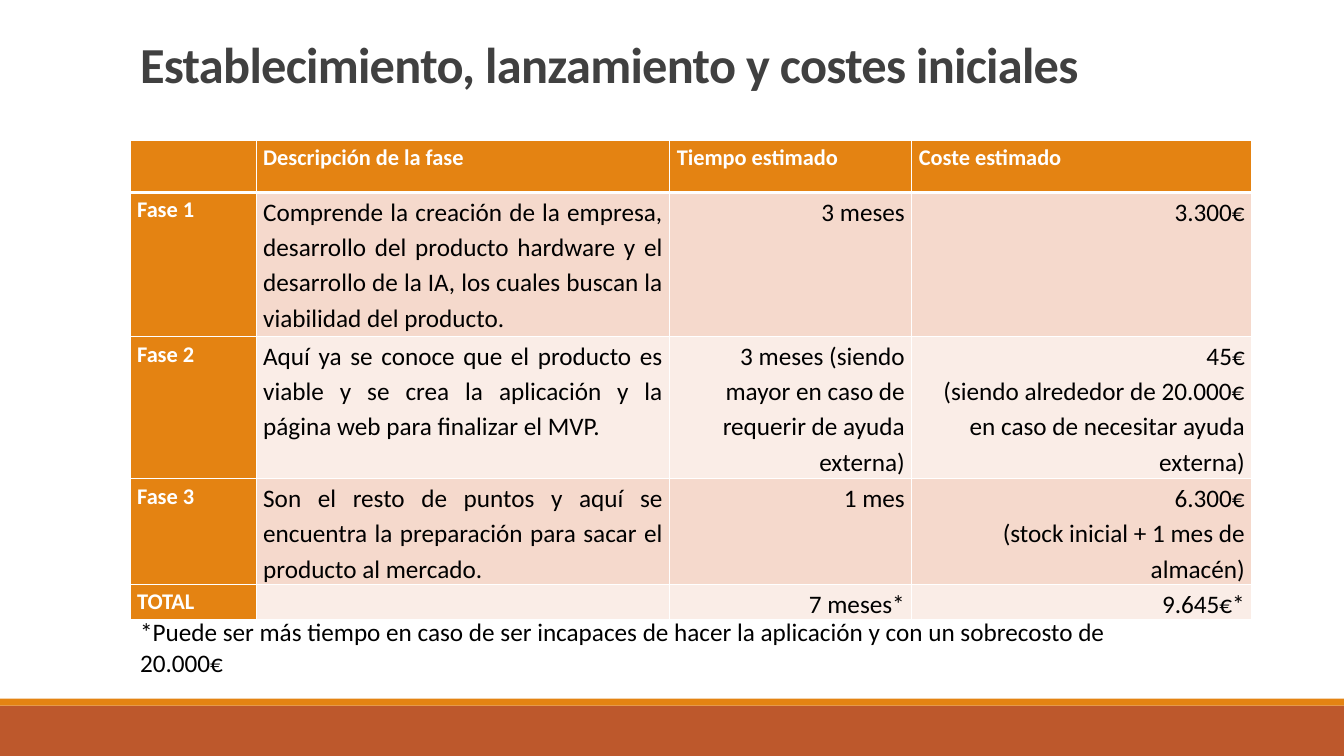
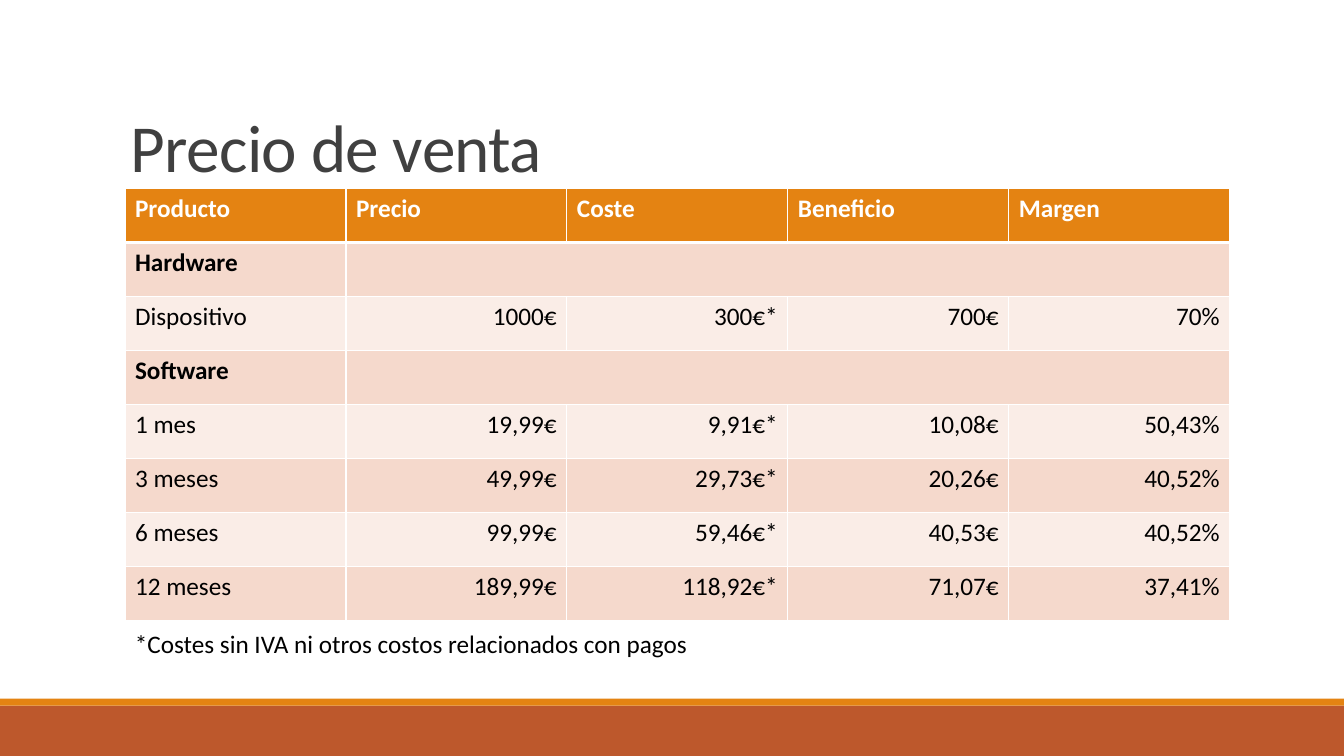
"""Build two slides: launch phases with their costs, and sale prices."""
from dataclasses import dataclass

from lxml import etree
from pptx import Presentation
from pptx.dml.color import RGBColor
from pptx.enum.shapes import MSO_SHAPE
from pptx.enum.text import MSO_ANCHOR, PP_ALIGN
from pptx.oxml.ns import qn
from pptx.util import Inches, Pt

RECT = MSO_SHAPE.RECTANGLE
TOP, BOTTOM = MSO_ANCHOR.TOP, MSO_ANCHOR.BOTTOM
LEFT, RIGHT, JUSTIFY = PP_ALIGN.LEFT, PP_ALIGN.RIGHT, PP_ALIGN.JUSTIFY
W, H = Inches(13.33), Inches(7.5)


@dataclass(frozen=True)
class Theme:
    font: str = "Calibri"
    ink: str = "000000"
    title: str = "404040"
    white: str = "FFFFFF"
    accent: str = "E48312"
    base: str = "BD582C"
    stripes: tuple = ("FAEDE7", "F5D9CC")
    body_size: int = 18
    tracking: int = -50
    title_spacing: float = 0.85
    rule: int = 1
    head_rule: int = 3


@dataclass(frozen=True)
class TableLook:
    head_size: int
    text_align: int
    text_cols: int
    spacing: float
    inset: tuple
    label_col: bool


T = Theme()
PHASE_LOOK = TableLook(16, JUSTIFY, 2, 1.15, (0.07, 0), True)
PRICE_LOOK = TableLook(18, LEFT, 1, 1.0, (0.1, 0.05), False)

PHASES = [
    ["", "Descripción de la fase", "Tiempo estimado", "Coste estimado"],
    ["Fase 1", "Comprende la creación de la empresa, desarrollo del producto "
     "hardware y el desarrollo de la IA, los cuales buscan la viabilidad del "
     "producto.", "3 meses", "3.300€"],
    ["Fase 2", "Aquí ya se conoce que el producto es viable y se crea la "
     "aplicación y la página web para finalizar el MVP.",
     "3 meses (siendo mayor en caso de requerir de ayuda externa)",
     "45€\n(siendo alrededor de 20.000€ en caso de necesitar ayuda externa)"],
    ["Fase 3", "Son el resto de puntos y aquí se encuentra la preparación "
     "para sacar el producto al mercado.", "1 mes",
     "6.300€\n(stock inicial + 1 mes de almacén)"],
    ["TOTAL", "", "7 meses*", "9.645€*"],
]
PRICES = [
    ["Producto", "Precio", "Coste", "Beneficio", "Margen"],
    ["Hardware"],
    ["Dispositivo", "1000€", "300€*", "700€", "70%"],
    ["Software"],
    ["1 mes", "19,99€", "9,91€*", "10,08€", "50,43%"],
    ["3 meses", "49,99€", "29,73€*", "20,26€", "40,52%"],
    ["6 meses", "99,99€", "59,46€*", "40,53€", "40,52%"],
    ["12 meses", "189,99€", "118,92€*", "71,07€", "37,41%"],
]


def rgb(color):
    return RGBColor.from_string(color)


def area(x, y, w, h):
    """Turn percentages of the slide into left, top, width and height."""
    return int(W * x / 100), int(H * y / 100), int(W * w / 100), int(H * h / 100)


def write(tf, text, size, color, bold=False, align=LEFT, spacing=1.0):
    """Write each line of the text as a paragraph and return the runs."""
    runs = []
    for i, line in enumerate(text.split("\n")):
        p = tf.add_paragraph() if i else tf.paragraphs[0]
        p.alignment, p.line_spacing = align, spacing
        if line:
            r = p.add_run()
            r.text = line
            r.font.name, r.font.size, r.font.bold = T.font, Pt(size), bold
            r.font.color.rgb = rgb(color)
            runs.append(r)
    return runs


def add_band(slide, y, h, color):
    """Add a full-width band."""
    sp = slide.shapes.add_shape(RECT, *area(0, y, 100, h))
    sp.shadow.inherit = False
    sp.fill.solid()
    sp.fill.fore_color.rgb = rgb(color)
    sp.line.fill.background()


def add_slide(prs):
    """Add a blank slide with the shared footer bands."""
    slide = prs.slides.add_slide(prs.slide_layouts[6])
    add_band(slide, 93.33, 6.67, T.base)
    add_band(slide, 92.4, 0.93, T.accent)
    return slide


def add_text(slide, box, text, size, color, anchor=TOP, **style):
    """Add a wrapped text box and return its runs."""
    tf = slide.shapes.add_textbox(*area(*box)).text_frame
    tf.word_wrap, tf.vertical_anchor = True, anchor
    return write(tf, text, size, color, **style)


def add_title(slide, box, text, size, bold=False):
    """Add a tightly tracked title standing on the bottom of its box."""
    for r in add_text(slide, box, text, size, T.title, BOTTOM,
                      bold=bold, spacing=T.title_spacing):
        r.font._element.set("spc", str(T.tracking))


def add_note(slide, box, text):
    """Add the note below a table."""
    add_text(slide, box, text, T.body_size, T.ink)


def set_borders(cell, top, bottom):
    """Draw white borders of the given top and bottom weight."""
    tc_pr = cell._tc.get_or_add_tcPr()
    weights = {"L": T.rule, "R": T.rule, "T": top, "B": bottom}
    for side, weight in weights.items():
        ln = etree.SubElement(tc_pr, qn(f"a:ln{side}"), w=str(Pt(weight)))
        fill = etree.SubElement(ln, qn("a:solidFill"))
        etree.SubElement(fill, qn("a:srgbClr"), val=T.white)


def fill_cell(cell, text, row, col, group, look):
    """Style one cell by its place in the table and write its text."""
    head = row == 0
    strong = head or (look.label_col and col == 0)
    cell.margin_left = cell.margin_right = Inches(look.inset[0])
    cell.margin_top = cell.margin_bottom = Inches(look.inset[1])
    set_borders(cell, T.head_rule if row == 1 else T.rule,
                T.head_rule if head else T.rule)
    cell.fill.solid()
    cell.fill.fore_color.rgb = rgb(T.accent if strong else T.stripes[row % 2])
    write(cell.text_frame, text,
          look.head_size if strong else T.body_size,
          T.white if strong else T.ink, strong or group,
          look.text_align if head or col < look.text_cols else RIGHT,
          look.spacing)


def add_table(slide, box, col_shares, row_shares, data, look):
    """Add a striped table; a row with a lone label spans the other columns."""
    x, y, w, h = area(*box)
    n = len(col_shares)
    table = slide.shapes.add_table(len(data), n, x, y, w, h).table
    table.first_row = table.horz_banding = False
    for column, share in zip(table.columns, col_shares):
        column.width = int(w * share / sum(col_shares))
    for row, share in zip(table.rows, row_shares):
        row.height = int(h * share / sum(row_shares))
    for i, texts in enumerate(data):
        group = len(texts) == 1
        for j, text in enumerate(texts + [""] * (n - len(texts))):
            fill_cell(table.cell(i, j), text, i, j, group, look)
        if group:
            table.cell(i, 1).merge(table.cell(i, n - 1))


def add_phases(prs):
    """Build the slide on phases and initial costs."""
    slide = add_slide(prs)
    add_title(slide, (9.68, 4.8, 82.5, 8.27),
              "Establecimiento, lanzamiento y costes iniciales", 36, True)
    add_table(slide, (9.68, 18.53, 83.47, 63.47), (1.25, 4.1, 2.4, 3.37),
              (0.52, 1.43, 1.41, 1.05, 0.35), PHASES, PHASE_LOOK)
    add_note(slide, (9.68, 80.93, 78.6, 9.47),
             "*Puede ser más tiempo en caso de ser incapaces de hacer la "
             "aplicación y con un sobrecosto de 20.000€")


def add_prices(prs):
    """Build the slide on sale prices."""
    slide = add_slide(prs)
    add_title(slide, (9, 4.13, 82.5, 21.2), "Precio de venta", 48)
    add_table(slide, (9.3, 24.93, 82.2, 57.2), [1] * 5, [1] * 8,
              PRICES, PRICE_LOOK)
    add_note(slide, (9.3, 82.4, 43.9, 5.33),
             "*Costes sin IVA ni otros costos relacionados con pagos")


def main():
    prs = Presentation()
    prs.slide_width, prs.slide_height = W, H
    add_phases(prs)
    add_prices(prs)
    prs.save("out.pptx")


if __name__ == "__main__":
    main()
